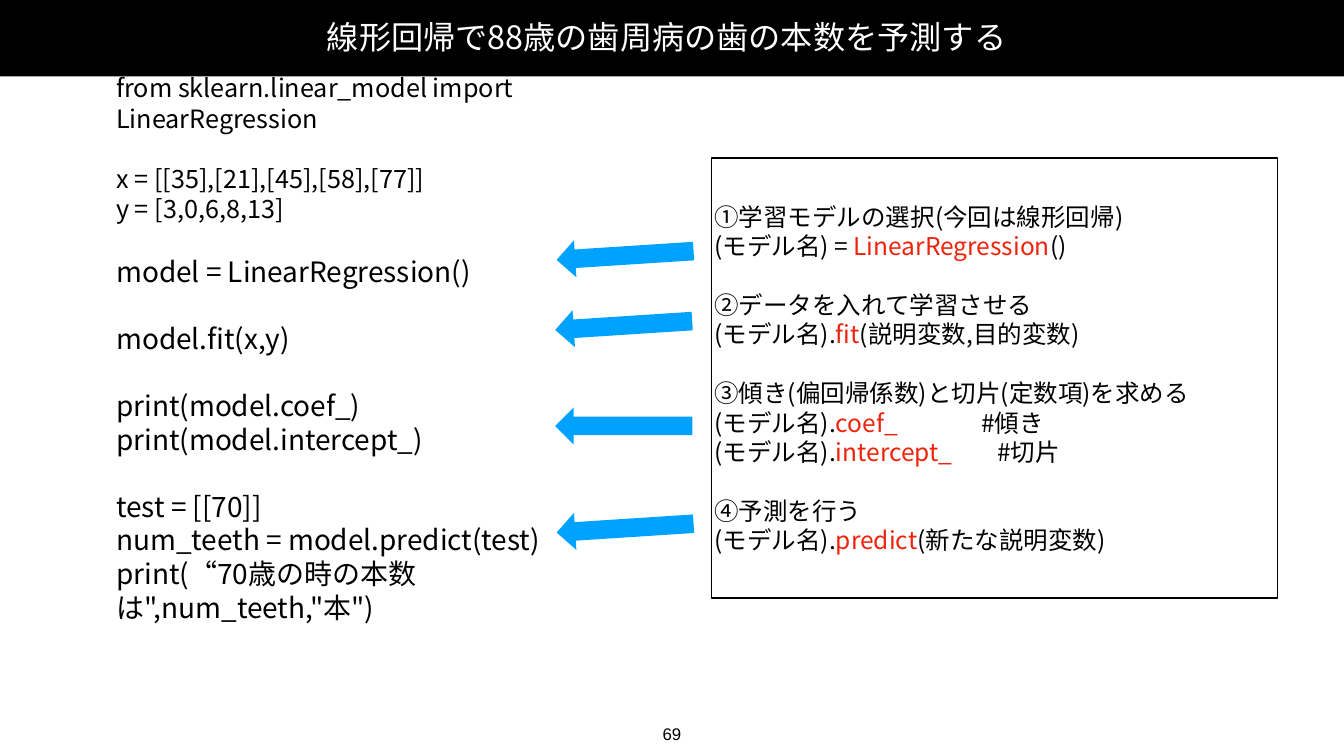
import pptx
import pptx.util
import pptx.dml.color
import pptx.enum.shapes
import pptx.enum.text
import pptx.oxml.ns
import lxml.etree

Pt = pptx.util.Pt
RGB = pptx.dml.color.RGBColor
SHAPE = pptx.enum.shapes.MSO_SHAPE
ANCHOR = pptx.enum.text.MSO_ANCHOR
ALIGN = pptx.enum.text.PP_ALIGN
qn = pptx.oxml.ns.qn

BLACK = RGB(0x00, 0x00, 0x00)
WHITE = RGB(0xFF, 0xFF, 0xFF)
RED = RGB(0xEE, 0x23, 0x0C)
BLUE = RGB(0x00, 0xA2, 0xFF)
JAPANESE = "Noto Sans CJK JP"
LEADING = 1.2

# Each block is a list of lines; blocks are set apart by one line.
CODE = [
    (36, ["from sklearn.linear_model import LinearRegression"]),
    (36, ["x = [[35],[21],[45],[58],[77]]", "y = [3,0,6,8,13]"]),
    (40, ["model = LinearRegression()"]),
    (40, ["model.fit(x,y)"]),
    (40, ["print(model.coef_)", "print(model.intercept_)"]),
    (40, ["test = [[70]]", "num_teeth = model.predict(test)",
          "print(“70歳の時の本数は\",num_teeth,\"本\")"]),
]
# Heading, then calls as (before, keyword, after, tab position of the comment).
STEPS = [
    ("①学習モデルの選択(今回は線形回帰)",
     [("(モデル名) = ", "LinearRegression", "()", None)]),
    ("②データを入れて学習させる",
     [("(モデル名).", "fit", "(説明変数,目的変数)", None)]),
    ("③傾き(偏回帰係数)と切片(定数項)を求める",
     [("(モデル名).", "coef_", "\t#傾き", 381),
      ("(モデル名).", "intercept_", "\t#切片", 404)]),
    ("④予測を行う",
     [("(モデル名).", "predict", "(新たな説明変数)", None)]),
]
STEP_SIZE = 35


def add_run(paragraph, text, size, color=BLACK, font=JAPANESE):
    run = paragraph.add_run()
    run.text = text
    run.font.size = Pt(size)
    run.font.name = font
    run.font.color.rgb = color
    east_asian = lxml.etree.Element(qn("a:ea"), typeface=font)
    run.font._element.find(qn("a:latin")).addnext(east_asian)


def prepare_frame(shape, wrap=True, anchor=ANCHOR.MIDDLE):
    frame = shape.text_frame
    frame.word_wrap = wrap
    frame.vertical_anchor = anchor
    frame.margin_left = frame.margin_right = Pt(4)
    frame.margin_top = frame.margin_bottom = Pt(4)
    return frame


def next_line(frame, size, gap=0):
    """Return the empty first paragraph, or a new one set off by gap points."""
    first = frame.paragraphs[0]
    line = frame.add_paragraph() if first.runs else first
    line.alignment = ALIGN.LEFT
    line.line_spacing = Pt(size * LEADING)
    if gap:
        line.space_before = Pt(gap)
    return line


def add_plain_shape(slide, kind, box, fill=None):
    shape = slide.shapes.add_shape(kind, *map(Pt, box))
    shape.shadow.inherit = False
    shape.line.fill.background()
    if fill is None:
        shape.fill.background()
    else:
        shape.fill.solid()
        shape.fill.fore_color.rgb = fill
    return shape


def add_code(slide, box):
    frame = prepare_frame(slide.shapes.add_textbox(*map(Pt, box)))
    gap = 0
    for size, lines in CODE:
        for index, text in enumerate(lines):
            line = next_line(frame, size, 0 if index else gap)
            add_run(line, text, size)
        gap = size * LEADING


def add_steps(slide, box):
    panel = add_plain_shape(slide, SHAPE.RECTANGLE, box)
    panel.line.color.rgb = BLACK
    panel.line.width = Pt(2)
    frame = prepare_frame(panel)
    for index, (heading, calls) in enumerate(STEPS):
        gap = STEP_SIZE * LEADING if index else 0
        add_run(next_line(frame, STEP_SIZE, gap), heading, STEP_SIZE)
        for before, keyword, after, tab in calls:
            line = next_line(frame, STEP_SIZE)
            if tab:
                tabs = lxml.etree.SubElement(line._p.get_or_add_pPr(), qn("a:tabLst"))
                lxml.etree.SubElement(tabs, qn("a:tab"), pos=str(Pt(tab)), algn="l")
            add_run(line, before, STEP_SIZE)
            add_run(line, keyword, STEP_SIZE, RED)
            add_run(line, after, STEP_SIZE)


def add_title(slide, bar_box, title_box):
    add_plain_shape(slide, SHAPE.RECTANGLE, bar_box, BLACK)
    frame = prepare_frame(slide.shapes.add_textbox(*map(Pt, title_box)))
    add_run(next_line(frame, 46), "線形回帰で88歳の歯周病の歯の本数を予測する", 46, WHITE)


def add_arrows(slide, width, height):
    """Point from each step on the right to its code on the left."""
    for left, top, angle in [(795, 338.5, 176.3), (793, 438.5, 176.3),
                             (793, 582, 180), (795, 728, 176.3)]:
        arrow = add_plain_shape(slide, SHAPE.RIGHT_ARROW,
                                (left, top, width, height), BLUE)
        arrow.rotation = angle


def add_page_number(slide, box):
    frame = prepare_frame(slide.shapes.add_textbox(*map(Pt, box)),
                          wrap=False, anchor=ANCHOR.TOP)
    number = frame.paragraphs[0]
    number.alignment = ALIGN.CENTER
    add_run(number, "69", 24, font="Arial")


def main():
    deck = pptx.Presentation()
    deck.slide_width, deck.slide_height = Pt(1920), Pt(1080)
    slide = deck.slides.add_slide(deck.slide_layouts[6])
    add_code(slide, (162, 142, 768, 711))
    add_steps(slide, (1016.5, 226, 808.5, 628.5))
    add_title(slide, (0, -3, 1920, 112), (463, 26, 994, 54))
    add_arrows(slide, 196, 53)
    add_page_number(slide, (942, 1030, 36, 36))
    deck.save("out.pptx")


if __name__ == "__main__":
    main()
